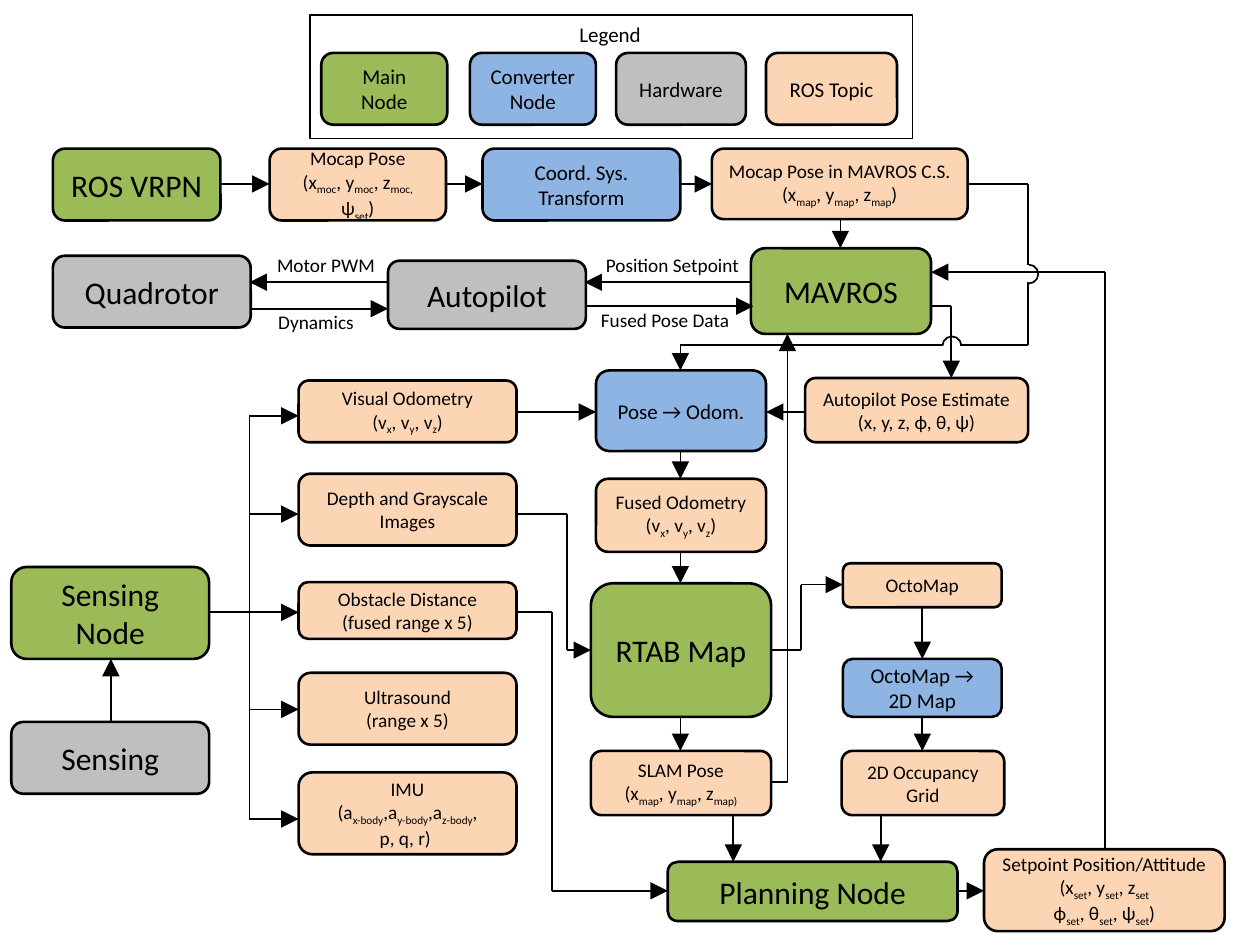
from lxml.etree import SubElement
from pptx import Presentation
from pptx.dml.color import RGBColor as RGB
from pptx.enum.shapes import MSO_CONNECTOR as LINK, MSO_SHAPE as SHAPE
from pptx.enum.text import MSO_ANCHOR as ANCHOR, MSO_AUTO_SIZE as FIT, PP_ALIGN as ALIGN
from pptx.oxml.ns import qn
from pptx.util import Pt

PX = 9144
BLACK = RGB(0, 0, 0)
GREEN = RGB(0x9B, 0xBB, 0x59)
BLUE = RGB(0x8E, 0xB4, 0xE3)
GRAY = RGB(0xBF, 0xBF, 0xBF)
PEACH = RGB(0xFC, 0xD5, 0xB5)

NODES = [
    ("ROS VRPN", 42, 118, 133, 57),
    ("Sensing Node", 9, 450, 157, 73),
    ("RTAB Map", 469, 463, 143, 106),
    ("MAVROS", 596, 197, 143, 68),
    ("Planning Node", 530, 684, 230, 47),
]
CASTS = [
    ("Coord. Sys. Transform", 383, 118, 157, 57),
    ("Pose → Odom.", 473, 294, 135, 64),
    ("OctoMap → 2D Map", 669, 523, 126, 46),
]
PARTS = [
    ("Autopilot", 308, 207, 157, 54),
    ("Sensing", 9, 573, 157, 57),
    ("Quadrotor", 42, 203, 157, 57),
]
TOPICS = [
    ("Visual Odometry\n(v_x_, v_y_, v_z_)", 237, 302, 173, 49),
    ("Depth and Grayscale Images", 237, 376, 173, 57),
    ("Ultrasound\n(range x 5)", 237, 534, 173, 57),
    ("Obstacle Distance\n(fused range x 5)", 237, 462, 173, 45),
    ("IMU\n(a_x-body_,a_y-body_,a_z-body_,|p, q, r) ", 237, 613, 173, 65),
    ("Mocap Pose\n(x_moc_, y_moc_, z_moc, _ψ_set_)", 214, 118, 140, 57),
    ("Mocap Pose in MAVROS C.S.\n(x_map_, y_map_, z_map_)", 565, 118, 203, 56),
    ("SLAM Pose\n(x_map_, y_map_, z_map)_", 469, 596, 143, 51),
    ("Setpoint Position/Attitude\n(x_set_, y_set_, z_set|_ϕ_set_, θ_set_, ψ_set_)",
     781, 674, 191, 65),
    ("Autopilot Pose Estimate\n(x, y, z, ϕ, θ, ψ)", 639, 300, 177, 51),
    ("Fused Odometry\n(v_x_, v_y_, v_z_)", 473, 380, 135, 58),
    ("OctoMap", 669, 447, 126, 35),
    ("2D Occupancy Grid", 668, 596, 129, 51),
]
KEYS = [
    ("Main Node", GREEN, 255, 100),
    ("Converter Node", BLUE, 373, 100),
    ("Hardware", GRAY, 489, 103),
    ("ROS Topic", PEACH, 608, 104),
]
ARROWS = [
    [(175, 146), (214, 146)],
    [(355, 146), (383, 146)],
    [(540, 146), (565, 146)],
    [(667, 174), (667, 197)],
    [(308, 224), (198, 224)],
    [(199, 245), (308, 245)],
    [(595, 224), (464, 224)],
    [(464, 243), (598, 243)],
    [(88, 573), (88, 523)],
    [(732, 482), (732, 523)],
    [(732, 570), (732, 596)],
    [(699, 648), (699, 684)],
    [(582, 648), (582, 684)],
    [(760, 707), (781, 707)],
    [(540, 569), (540, 596)],
    [(540, 437), (540, 463)],
    [(540, 359), (540, 380)],
    [(410, 327), (473, 327)],
    [(639, 327), (608, 327)],
    [(612, 516), (636, 516), (636, 464), (669, 464)],
    [(877, 674), (877, 216), (739, 216)],
    [(410, 408), (450, 408), (450, 516), (469, 516)],
    [(410, 486), (438, 486), (438, 707), (530, 707)],
    [(739, 243), (755, 243), (755, 300)],
    [(748, 274), (540, 274), (540, 294)],
]
PLAIN = [
    [(198, 330), (198, 650)],
    [(198, 486), (166, 486)],
    [(769, 146), (816, 146), (816, 210)],
    [(816, 224), (816, 274), (762, 274)],
]
FAN = [330, 408, 486, 563, 650]
ARCS = [(809, 210, 162, 54.49), (748, 267, 108.58, 0.59)]
LABELS = [
    ("Motor PWM", 210, 196, 99),
    ("Dynamics", 211, 241, 81),
    ("Position Setpoint", 471, 196, 127),
    ("Fused Pose Data", 467, 240, 123),
]


def scale(*nums):
    return [n * PX for n in nums]


def pen(line, width):
    line.color.rgb = BLACK
    line.width = Pt(width)


def add_run(para, text, size, low):
    run = para.add_run()
    run.text = text
    for name, value in {"name": "Calibri", "size": Pt(size)}.items():
        setattr(run.font, name, value)
    run.font.color.rgb = BLACK
    if low:
        run._r.get_or_add_rPr().set("baseline", "-25000")


def write(frame, text, size, align):
    for row, words in enumerate(text.split("\n")):
        para = frame.add_paragraph() if row else frame.paragraphs[0]
        para.alignment = align
        for part, bit in enumerate(words.split("_")):
            for turn, piece in enumerate(bit.split("|")):
                if turn:
                    para.add_line_break()
                if piece:
                    add_run(para, piece, size, part % 2)


def add_form(slide, kind, place, width, fill=None):
    form = slide.shapes.add_shape(kind, *scale(*place))
    form.shadow.inherit = False
    if fill is None:
        form.fill.background()
    else:
        form.fill.solid()
        form.fill.fore_color.rgb = fill
    pen(form.line, width)
    return form


def add_box(slide, text, place, fill, size):
    box = add_form(slide, SHAPE.ROUNDED_RECTANGLE, place, 1.5, fill)
    frame = box.text_frame
    for name, value in {"word_wrap": True, "vertical_anchor": ANCHOR.MIDDLE}.items():
        setattr(frame, name, value)
    write(frame, text, size, ALIGN.CENTER)


def add_label(slide, text, place, size):
    frame = slide.shapes.add_textbox(*scale(*place)).text_frame
    for name, value in {"word_wrap": False, "auto_size": FIT.SHAPE_TO_FIT_TEXT}.items():
        setattr(frame, name, value)
    write(frame, text, size, ALIGN.LEFT)


def add_link(slide, start, end, tip, kind=LINK.STRAIGHT):
    link = slide.shapes.add_connector(kind, *scale(*start, *end))
    pen(link.line, 1)
    props = link._element.spPr
    if tip:
        head = SubElement(props.find(qn("a:ln")), qn("a:tailEnd"))
        for name, value in {"type": "triangle", "w": "lg", "len": "lg"}.items():
            head.set(name, value)
    SubElement(props, qn("a:effectLst"))
    return link


def add_route(slide, points, tip):
    for start, end in zip(points, points[1:]):
        add_link(slide, start, end, tip and end == points[-1])


def add_key(slide):
    for text, fill, left, width in KEYS:
        add_box(slide, text, (left, 42, width, 57), fill, 12)
    add_form(slide, SHAPE.RECTANGLE, (246, 12, 478, 98), 0.75)
    add_label(slide, "Legend", (450, 12, 70, 30), 12)


def main():
    deck = Presentation()
    deck.slide_width, deck.slide_height = scale(1000, 750)
    slide = deck.slides.add_slide(deck.slide_layouts[6])
    for group, fill, size in [(NODES, GREEN, 18), (CASTS, BLUE, 12),
                              (PARTS, GRAY, 18), (TOPICS, PEACH, 11)]:
        for text, *place in group:
            add_box(slide, text, place, fill, size)
    for points in ARROWS + [[(198, y), (237, y)] for y in FAN]:
        add_route(slide, points, True)
    for points in PLAIN:
        add_route(slide, points, False)
    for left, top, *turns in ARCS:
        arc = add_form(slide, SHAPE.ARC, (left, top, 15, 15), 1)
        for spot, turn in enumerate(turns):
            arc.adjustments[spot] = turn
    for text, left, top, width in LABELS:
        add_label(slide, text, (left, top, width, 29), 11)
    add_key(slide)
    bend = add_link(slide, (612, 621), (625, 265), True, LINK.ELBOW)
    bend._element.spPr.find(qn("a:prstGeom")).set("prst", "bentConnector2")
    deck.save("out.pptx")


if __name__ == "__main__":
    main()
